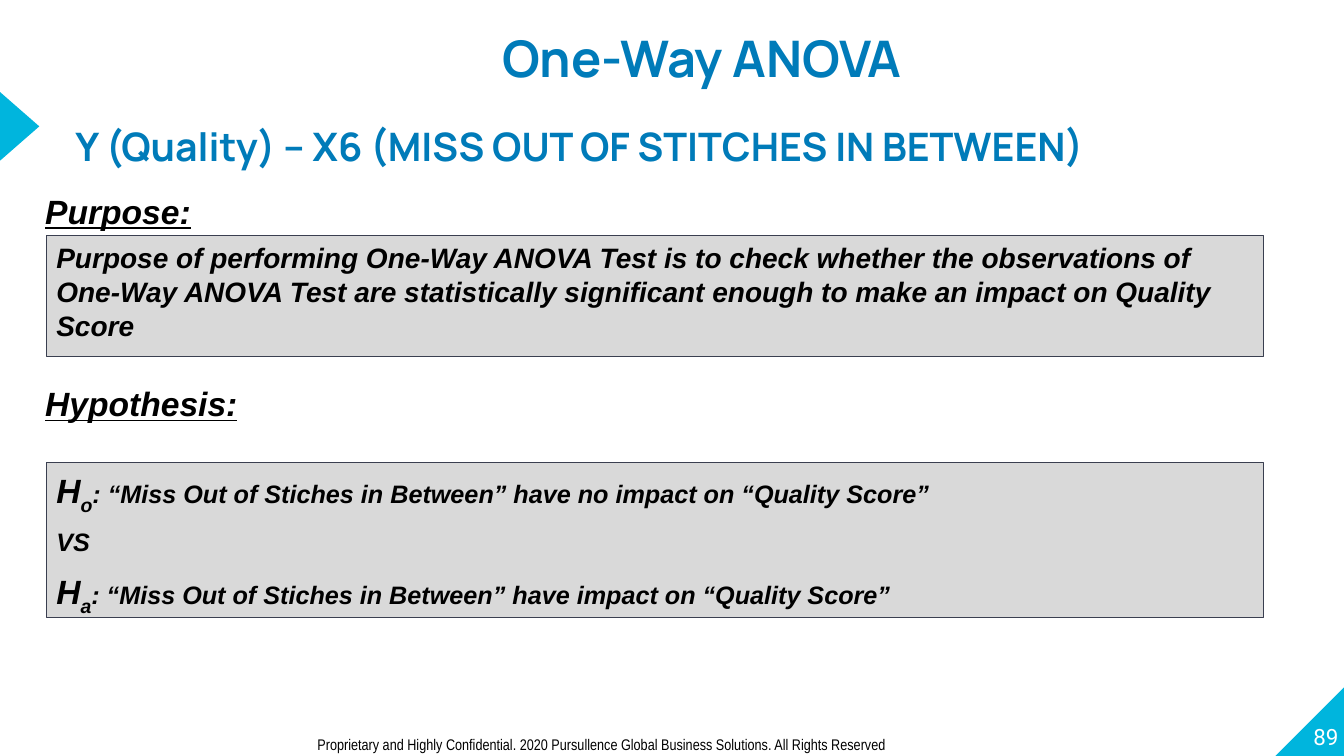
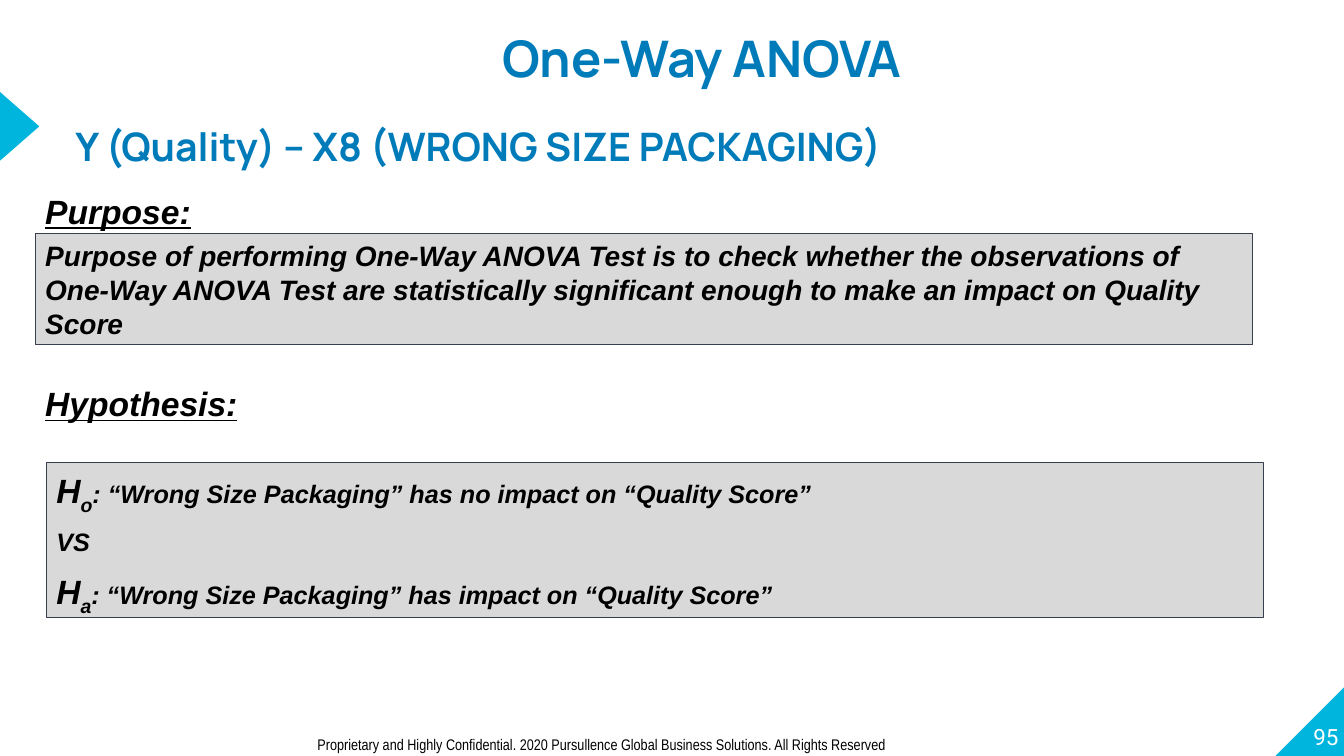
from pptx import Presentation
from pptx.dml.color import RGBColor
from pptx.enum.shapes import MSO_SHAPE
from pptx.enum.text import MSO_ANCHOR, MSO_AUTO_SIZE, PP_ALIGN
from pptx.util import Cm, Pt

RECT = MSO_SHAPE.RECTANGLE
WEDGE = MSO_SHAPE.RIGHT_TRIANGLE
ARROW = MSO_SHAPE.ISOSCELES_TRIANGLE
TOP, BOTTOM = MSO_ANCHOR.TOP, MSO_ANCHOR.BOTTOM
LEFT, CENTER, RIGHT = PP_ALIGN.LEFT, PP_ALIGN.CENTER, PP_ALIGN.RIGHT

CYAN, BLUE, GREY, EDGE = "00B5DD", "007BB9", "D9D9D9", "3A3F50"
BLACK, WHITE = "000000", "FFFFFF"
WIDE, HIGH = 33.87, 19.05
PAD = (0.25, 0.13)

HEAD = dict(font="Manrope", color=BLUE, bold=True)
BODY = dict(font="Arial", color=BLACK, bold=True, italic=True)
LABEL = dict(BODY, size=24, under=True)
NOTE = dict(font="Arial Narrow", color=BLACK, size=11)
PAGE = dict(font="Roboto", color=WHITE, size=16)

FOOTER = ("Proprietary and Highly Confidential. 2020 Pursullence Global "
          "Business Solutions. All Rights Reserved")
PURPOSE = ("Purpose of performing One-Way ANOVA Test is to check whether the "
           "observations of One-Way ANOVA Test are statistically significant "
           "enough to make an impact on Quality Score")

SLIDES = [
    dict(page="89", topic="X6 (MISS OUT OF STITCHES IN BETWEEN)",
         cause="Miss Out of Stiches in Between", verb="have",
         box=(1.17, 5.94, 30.68, 3.05)),
    dict(page="95", topic="X8 (WRONG SIZE PACKAGING)",
         cause="Wrong Size Packaging", verb="has",
         box=(0.89, 5.89, 30.68, 2.79)),
]


def rgb(code):
    return RGBColor.from_string(code)


def add_run(para, text, font, color, size, bold=False, italic=False,
            under=False, sub=False):
    run = para.add_run()
    run.text = text
    face = run.font
    face.name, face.size = font, Pt(size)
    face.bold, face.italic, face.underline = bold, italic, under
    face.color.rgb = rgb(color)
    if sub:
        run._r.get_or_add_rPr().set("baseline", "-25000")


def set_frame(shape, pad=PAD, anchor=TOP, align=LEFT):
    """Format the text frame and return its first paragraph."""
    frame = shape.text_frame
    frame.word_wrap = True
    frame.auto_size = MSO_AUTO_SIZE.NONE
    frame.vertical_anchor = anchor
    frame.margin_left = frame.margin_right = Cm(pad[0])
    frame.margin_top = frame.margin_bottom = Cm(pad[1])
    para = frame.paragraphs[0]
    para.alignment = align
    return para


def add_text(slide, box, text, style, **frame):
    shape = slide.shapes.add_textbox(*map(Cm, box))
    para = set_frame(shape, **frame)
    add_run(para, text, **style)
    return para


def add_form(slide, kind, box, fill, line=None, turn=0):
    shape = slide.shapes.add_shape(kind, *map(Cm, box))
    shape.shadow.inherit = False
    shape.rotation = turn
    shape.fill.solid()
    shape.fill.fore_color.rgb = rgb(fill)
    if line:
        shape.line.color.rgb = rgb(line)
        shape.line.width = Pt(0.75)
    else:
        shape.line.fill.background()
    return shape


def add_frame(slide, page):
    """Draw the corner, side arrow, footer and page number."""
    side = 1.73
    add_form(slide, WEDGE, (WIDE - side, HIGH - side, side, side), CYAN,
             turn=270)
    add_form(slide, ARROW, (-0.37, 2.69, side, 0.99), CYAN, turn=90)
    add_text(slide, (32.03, 17.17, 1.7, side), page, PAGE,
             pad=(0, 0), anchor=BOTTOM, align=RIGHT)
    add_text(slide, (7.75, 18.39, 21.62, 0.74), FOOTER, NOTE)


def add_heads(slide, topic):
    title = slide.shapes.title
    title.left, title.top, title.width, title.height = map(
        Cm, (5.36, -0.08, 24.66, 1.93))
    para = set_frame(title, pad=(0, 0), align=CENTER)
    para.line_spacing = 1.5
    add_run(para, "One-Way ANOVA", size=36, **HEAD)
    para = add_text(slide, (1.9, 2.49, 27.03, 1.55),
                    f"Y (Quality) – {topic}", dict(HEAD, size=28), pad=(0, 0))
    para.line_spacing = 1.5


def add_purpose(slide, box):
    add_text(slide, (0.89, 4.67, 6, 1.27), "Purpose:", LABEL)
    panel = add_form(slide, RECT, box, GREY, EDGE)
    add_run(set_frame(panel), PURPOSE, size=20, **BODY)


def add_claims(slide, box, cause, verb):
    x, y, w, h = box
    add_text(slide, (x - 0.28, y - 2.13, 19.3, 1.27), "Hypothesis:", LABEL)
    panel = add_form(slide, RECT, box, GREY, EDGE)
    first = set_frame(panel)
    rows = [("o", f"{verb} no impact", 0), (None, "VS", 6.5),
            ("a", f"{verb} impact", 8.5)]
    for mark, claim, gap in rows:
        para = panel.text_frame.add_paragraph() if gap else first
        para.alignment = LEFT
        para.line_spacing = 1.05
        para.space_before = Pt(gap)
        if mark:
            add_run(para, "H", size=24, **BODY)
            add_run(para, mark, size=24, sub=True, **BODY)
            claim = f": “{cause}” {claim} on “Quality Score”"
        add_run(para, claim, size=18, **BODY)


def add_test(deck, page, topic, cause, verb, box):
    slide = deck.slides.add_slide(deck.slide_layouts[5])
    add_frame(slide, page)
    add_heads(slide, topic)
    add_purpose(slide, box)
    add_claims(slide, (1.17, 11.66, 30.68, 3.91), cause, verb)


def main():
    deck = Presentation()
    deck.slide_width, deck.slide_height = Cm(WIDE), Cm(HIGH)
    for data in SLIDES:
        add_test(deck, **data)
    deck.save("out.pptx")


if __name__ == "__main__":
    main()
